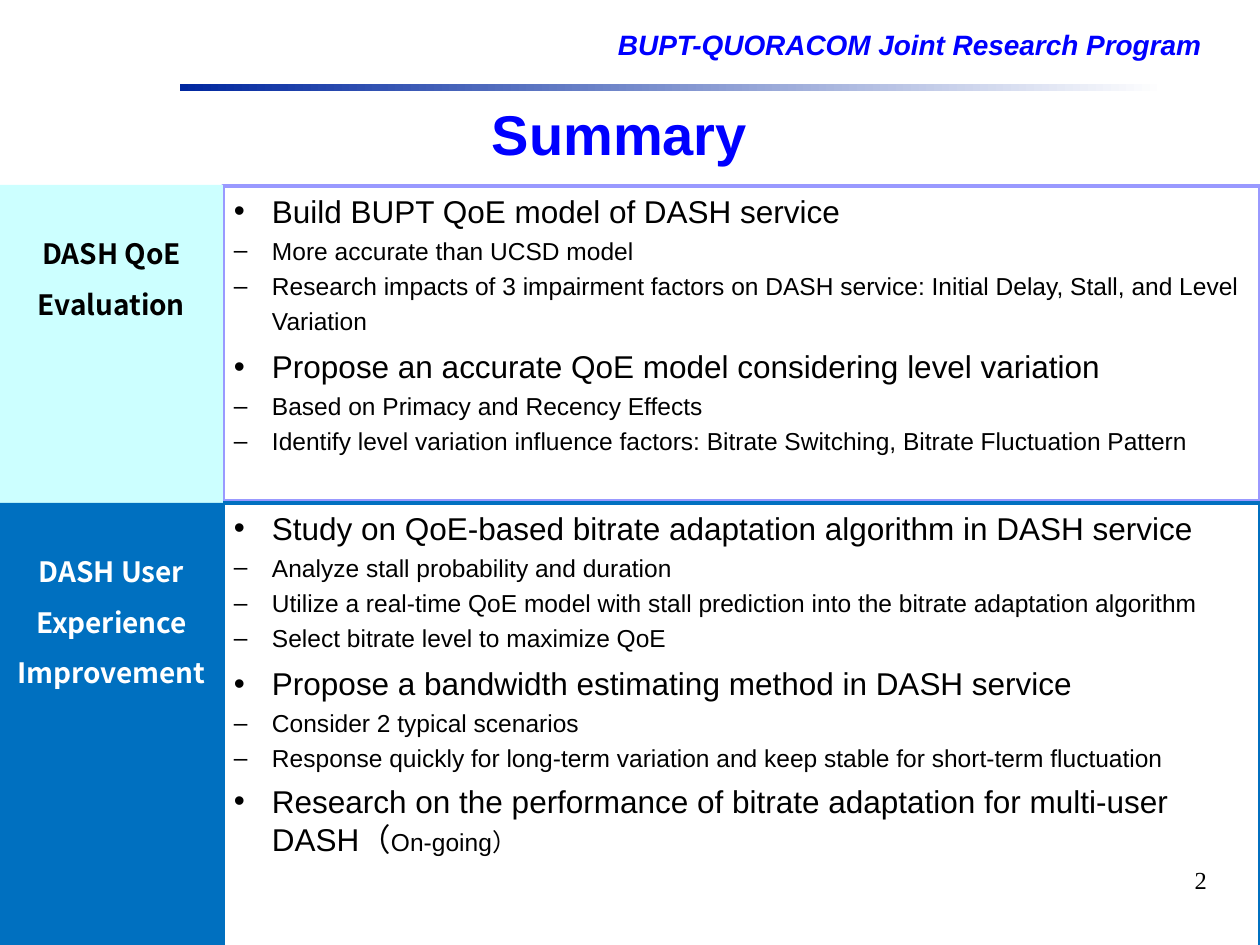
"""Build the research summary slide with two labelled topic panels."""
from lxml.etree import SubElement
from pptx import Presentation
from pptx.dml.color import RGBColor
from pptx.enum.shapes import MSO_SHAPE
from pptx.enum.text import MSO_ANCHOR, PP_ALIGN
from pptx.oxml.ns import qn
from pptx.util import Emu, Pt

BLACK = RGBColor(0x00, 0x00, 0x00)
WHITE = RGBColor(0xFF, 0xFF, 0xFF)
TITLE_BLUE = RGBColor(0x00, 0x00, 0xFF)
NAVY = RGBColor(0x00, 0x27, 0x9F)
LAVENDER = RGBColor(0x99, 0x99, 0xFF)
PALE_CYAN = RGBColor(0xCC, 0xFF, 0xFF)
STRONG_BLUE = RGBColor(0x00, 0x70, 0xC0)

PROGRAM = "BUPT-QUORACOM Joint Research Program"
TITLE = "Summary"
PAGE_NUMBER = "2"

SECTIONS = [
    {
        "label": "DASH QoE Evaluation",
        "label_box": (0, 185, 223, 329), "label_fill": PALE_CYAN, "label_color": BLACK,
        "panel_box": (223, 186, 1037, 315), "line": LAVENDER, "line_width": 2.25,
        "topics": [
            (["Build BUPT QoE model of DASH service"], 6.8, [
                "More accurate than UCSD model",
                "Research impacts of 3 impairment factors on DASH service: "
                "Initial Delay, Stall, and Level Variation",
            ]),
            (["Propose an accurate QoE model considering level variation"], 6.8, [
                "Based on Primacy and Recency Effects",
                "Identify level variation influence factors: "
                "Bitrate Switching, Bitrate Fluctuation Pattern",
            ]),
        ],
    },
    {
        "label": "DASH User Experience Improvement",
        "label_box": (0, 503, 223, 442), "label_fill": STRONG_BLUE, "label_color": WHITE,
        "panel_box": (223, 503, 1037, 456), "line": STRONG_BLUE, "line_width": 2,
        "topics": [
            (["Study on QoE-based bitrate adaptation algorithm in DASH service"], 6.8, [
                "Analyze stall probability and duration",
                "Utilize a real-time QoE model with stall prediction "
                "into the bitrate adaptation algorithm",
                "Select bitrate level to maximize QoE",
            ]),
            (["Propose a bandwidth estimating method in DASH service"], 6.8, [
                "Consider 2 typical scenarios",
                "Response quickly for long-term variation "
                "and keep stable for short-term fluctuation",
            ]),
            (["Research on the performance of bitrate adaptation for multi-user DASH（",
              "On-going）"], 5.2, []),
        ],
    },
]


def px(value):
    return Emu(round(value * 914400 / 126))


def prepare_frame(shape, insets, wrap=True):
    frame = shape.text_frame
    frame.word_wrap = wrap
    frame.vertical_anchor = MSO_ANCHOR.TOP
    (frame.margin_left, frame.margin_top,
     frame.margin_right, frame.margin_bottom) = map(px, insets)
    return frame


def add_run(paragraph, text, size, font, color, bold=False, italic=False):
    run = paragraph.add_run()
    run.text = text
    run.font.size = Pt(size)
    run.font.name = font
    run.font.color.rgb = color
    run.font.bold = bold
    run.font.italic = italic
    properties = run.font._element
    SubElement(properties, qn("a:ea"), typeface=font)


def add_text(slide, box, insets, text, size, font, color, align,
             spacing=1.0, wrap=True, **style):
    shape = slide.shapes.add_textbox(*map(px, box))
    paragraph = prepare_frame(shape, insets, wrap).paragraphs[0]
    paragraph.alignment = align
    paragraph.line_spacing = spacing
    add_run(paragraph, text, size, font, color, **style)


def add_rectangle(slide, box):
    shape = slide.shapes.add_shape(MSO_SHAPE.RECTANGLE, *map(px, box))
    shape.shadow.inherit = False
    shape.line.fill.background()
    return shape


def add_bullet(paragraph, character):
    properties = paragraph._p.get_or_add_pPr()
    properties.set("marL", str(px(38)))
    properties.set("indent", str(px(-38)))
    color = SubElement(properties, qn("a:buClr"))
    SubElement(color, qn("a:srgbClr"), val=str(BLACK))
    SubElement(properties, qn("a:buFont"), typeface="Arial")
    SubElement(properties, qn("a:buChar"), char=character)


def add_panel(slide, section):
    shape = add_rectangle(slide, section["panel_box"])
    shape.fill.background()
    shape.line.color.rgb = section["line"]
    shape.line.width = Pt(section["line_width"])
    frame = prepare_frame(shape, (11, 6, 11, 6))
    rows = []
    for runs, space_before, details in section["topics"]:
        sizes = [18] + [14] * (len(runs) - 1)
        rows.append(("•", list(zip(runs, sizes)), 1.0, space_before))
        rows += [("–", [(detail, 14)], 1.2, 0) for detail in details]
    for index, (bullet, runs, spacing, space_before) in enumerate(rows):
        paragraph = frame.add_paragraph() if index else frame.paragraphs[0]
        paragraph.alignment = PP_ALIGN.LEFT
        paragraph.line_spacing = spacing
        paragraph.space_before = Pt(space_before if index else 0)
        add_bullet(paragraph, bullet)
        for text, size in runs:
            add_run(paragraph, text, size, "Arial", BLACK)


def add_label(slide, section):
    shape = add_rectangle(slide, section["label_box"])
    shape.fill.solid()
    shape.fill.fore_color.rgb = section["label_fill"]
    paragraph = prepare_frame(shape, (14, 35, 14, 8)).paragraphs[0]
    paragraph.alignment = PP_ALIGN.CENTER
    paragraph.line_spacing = 1.5
    add_run(paragraph, section["label"], 16, "Noto Sans CJK SC",
            section["label_color"], bold=True)


def add_divider(slide):
    divider = add_rectangle(slide, (180, 84, 985, 7))
    divider.fill.gradient()
    divider.fill.gradient_angle = 0
    for stop, color in zip(divider.fill.gradient_stops, (NAVY, WHITE)):
        stop.color.rgb = color


def main():
    presentation = Presentation()
    presentation.slide_width = px(1260)
    presentation.slide_height = px(945)
    slide = presentation.slides.add_slide(presentation.slide_layouts[6])
    add_text(slide, (598, 31, 652, 78), (20, 0, 13, 0), PROGRAM, 16, "Arial",
             TITLE_BLUE, PP_ALIGN.LEFT, spacing=0.9, bold=True, italic=True)
    add_divider(slide)
    add_text(slide, (482, 106, 275, 64), (9, 4, 9, 4), TITLE, 32, "Arial",
             TITLE_BLUE, PP_ALIGN.CENTER, spacing=0.85, wrap=False, bold=True)
    for section in SECTIONS:
        add_panel(slide, section)
    add_text(slide, (958, 859, 262, 63), (13, 6, 13, 6), PAGE_NUMBER, 14,
             "Times New Roman", BLACK, PP_ALIGN.RIGHT)
    for section in SECTIONS:
        add_label(slide, section)
    presentation.save("out.pptx")


if __name__ == "__main__":
    main()
